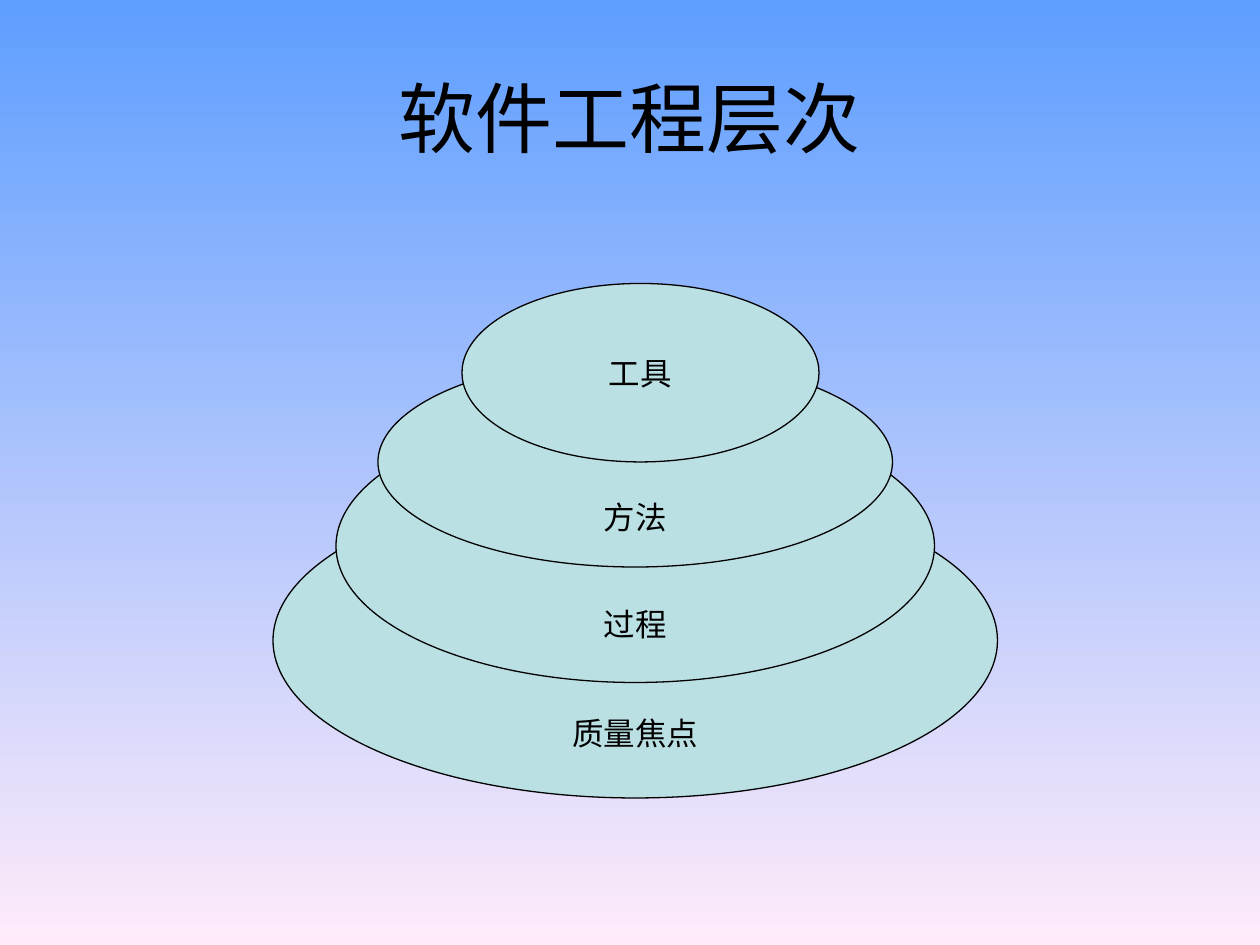
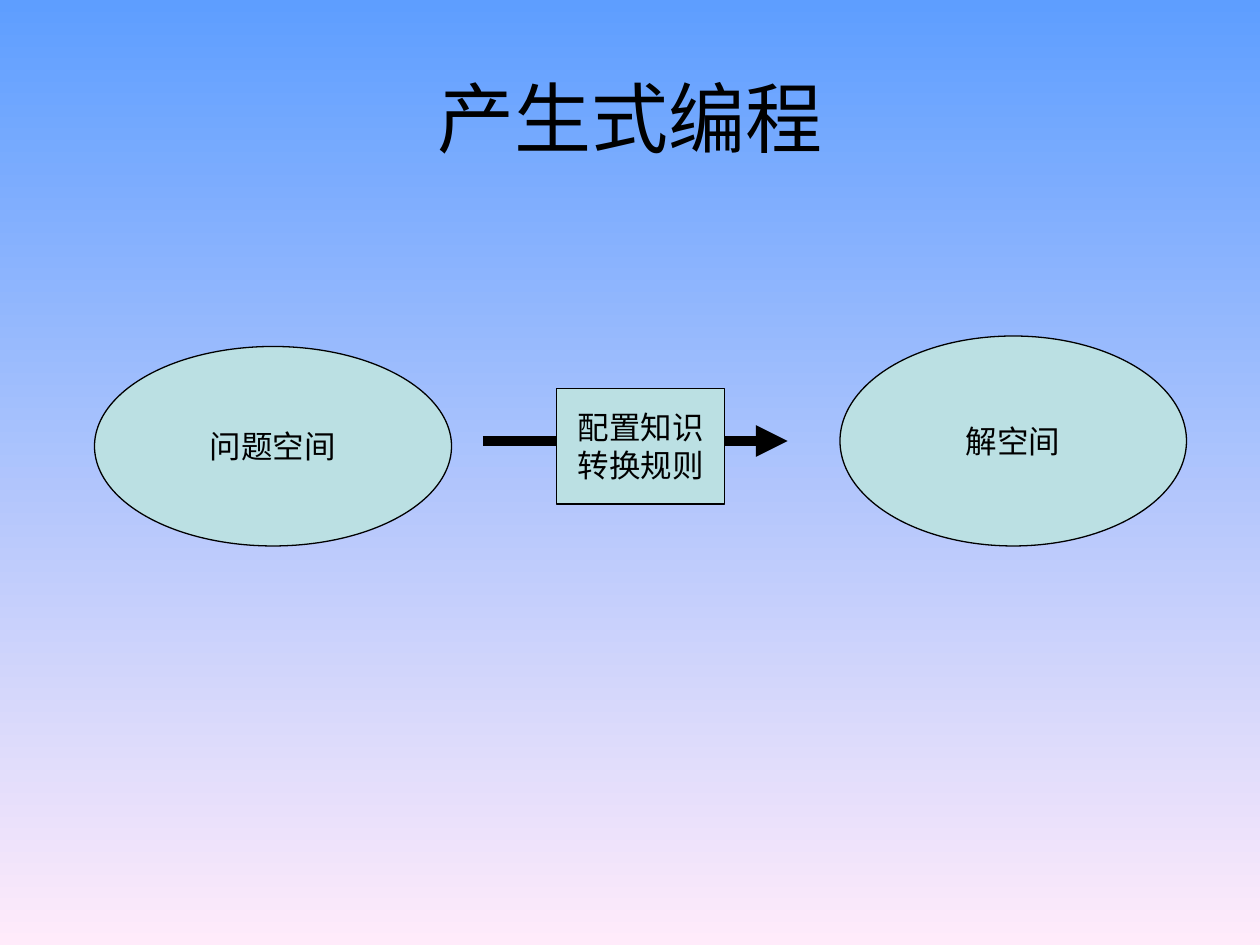
from dataclasses import dataclass

from lxml import etree
from pptx import Presentation
from pptx import util as u
from pptx.dml.color import RGBColor
from pptx.enum import shapes, text
from pptx.oxml.ns import qn

# Shared look
SKY, BLUSH, AQUA, BLACK = "5E9EFF", "FFEBFA", "BBE0E3", "000000"
FONT, TITLE_SIZE, LABEL_SIZE = "Arial", 44, 18
OVAL, BOX = shapes.MSO_SHAPE.OVAL, shapes.MSO_SHAPE.RECTANGLE

# Grid of 120 columns and 90 rows
WIDTH, HEIGHT = u.Inches(10), u.Inches(7.5)
CELL = WIDTH // 120


@dataclass(frozen=True)
class Node:
    label: str
    col: int
    row: int
    cols: int
    rows: int
    kind: shapes.MSO_SHAPE = OVAL
    low_label: bool = False


# Back to front: each smaller layer covers the top of the one beneath
LAYERS = [
    Node("质量焦点", 26, 46, 69, 30, low_label=True),
    Node("过程", 32, 39, 57, 26, low_label=True),
    Node("方法", 36, 34, 49, 20, low_label=True),
    Node("工具", 44, 27, 34, 17),
]
SPACES = [
    Node("问题空间", 9, 33, 34, 19),
    Node("解空间", 80, 32, 33, 20),
    Node("配置知识\n转换规则", 53, 37, 16, 11, BOX),
]


def color(value: str) -> RGBColor:
    return RGBColor.from_string(value)


def write(frame, words: str, size: int) -> None:
    frame.text = words
    for paragraph in frame.paragraphs:
        paragraph.alignment = text.PP_ALIGN.CENTER
        for run in paragraph.runs:
            run.font.name = FONT
            run.font.size = u.Pt(size)
            run.font.color.rgb = color(BLACK)


def paint_background(master) -> None:
    fill = master.background.fill
    fill.gradient()
    fill.gradient_angle = 270
    for stop, shade in zip(fill.gradient_stops, (SKY, BLUSH)):
        stop.color.rgb = color(shade)


def add_title(slide, words: str) -> None:
    title = slide.shapes.add_textbox(
        int(WIDTH * 0.05), int(HEIGHT * 0.04), int(WIDTH * 0.9), 15 * CELL)
    title.text_frame.word_wrap = True
    title.text_frame.vertical_anchor = text.MSO_ANCHOR.MIDDLE
    write(title.text_frame, words, TITLE_SIZE)


def add_node(slide, node: Node) -> None:
    shape = slide.shapes.add_shape(
        node.kind, node.col * CELL, node.row * CELL,
        node.cols * CELL, node.rows * CELL)
    shape.shadow.inherit = False
    shape.fill.solid()
    shape.fill.fore_color.rgb = color(AQUA)
    shape.line.color.rgb = color(BLACK)
    shape.line.width = u.Pt(0.75)
    frame = shape.text_frame
    frame.word_wrap = False
    frame.vertical_anchor = text.MSO_ANCHOR.MIDDLE
    if node.low_label:
        frame.vertical_anchor = text.MSO_ANCHOR.BOTTOM
        frame.margin_bottom = 0
    write(frame, node.label, LABEL_SIZE)


def add_arrow(slide, start: int, end: int, row: int) -> None:
    arrow = slide.shapes.add_connector(
        shapes.MSO_CONNECTOR.STRAIGHT,
        start * CELL, row * CELL, end * CELL, row * CELL)
    arrow.line.color.rgb = color(BLACK)
    arrow.line.width = u.Pt(6)
    etree.SubElement(arrow.line._get_or_add_ln(), qn("a:tailEnd"), type="triangle")
    etree.SubElement(arrow._element.spPr, qn("a:effectLst"))


def main() -> None:
    deck = Presentation()
    deck.slide_width, deck.slide_height = WIDTH, HEIGHT
    paint_background(deck.slide_master)
    blank = deck.slide_layouts[6]

    # Layers of software engineering
    layers = deck.slides.add_slide(blank)
    add_title(layers, "软件工程层次")
    for layer in LAYERS:
        add_node(layers, layer)

    # From problem to solution; the rules box sits on the arrow
    generative = deck.slides.add_slide(blank)
    add_arrow(generative, 46, 75, 42)
    add_title(generative, "产生式编程")
    for space in SPACES:
        add_node(generative, space)

    deck.save("out.pptx")


if __name__ == "__main__":
    main()
